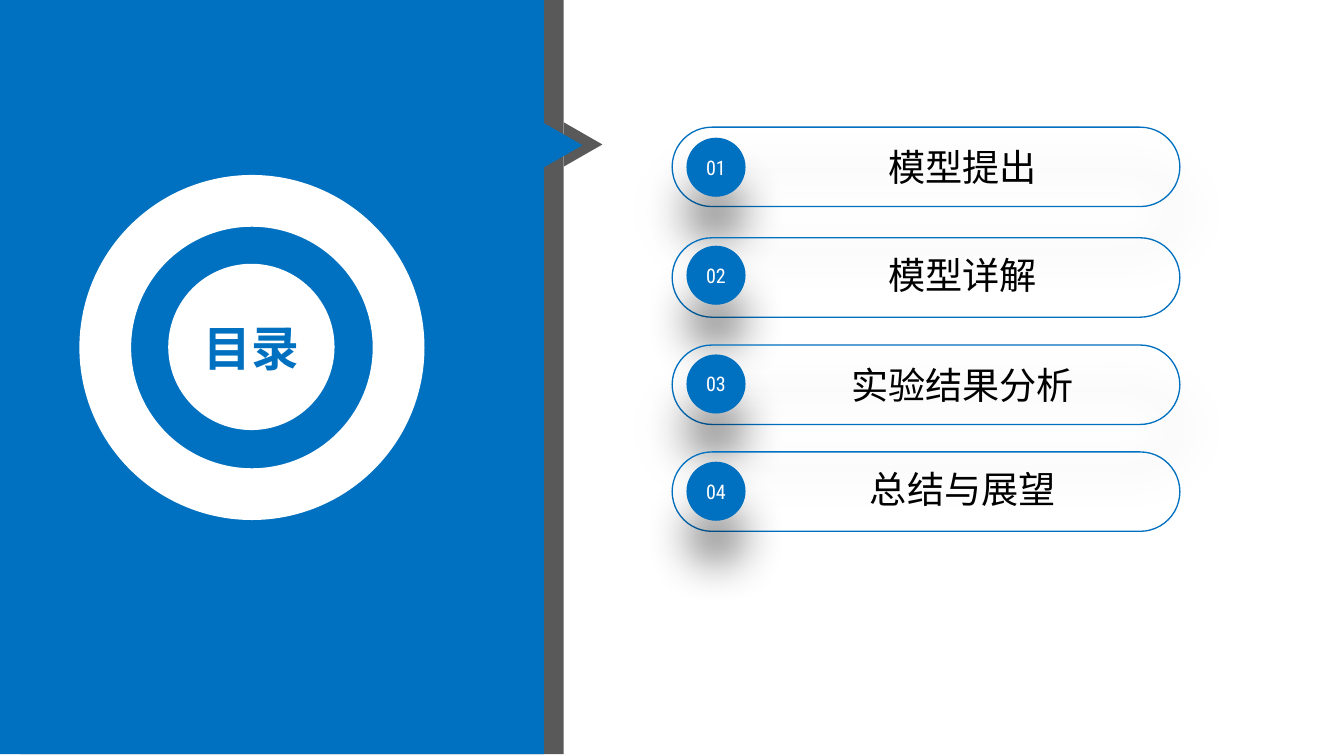
from dataclasses import dataclass

import pptx
import pptx.dml.color
import pptx.enum.shapes
import pptx.enum.text
import pptx.oxml
import pptx.oxml.ns
import pptx.shapes.autoshape
import pptx.slide
import pptx.util

Cm = pptx.util.Cm
Pt = pptx.util.Pt
RGBColor = pptx.dml.color.RGBColor
Preset = pptx.enum.shapes.MSO_SHAPE

BLUE = RGBColor(0x00, 0x70, 0xC0)
GREY = RGBColor(0x59, 0x59, 0x59)
WHITE = RGBColor(0xFF, 0xFF, 0xFF)
BLACK = RGBColor(0x00, 0x00, 0x00)
FONT = "Roboto Condensed"

PILL_LEFT, PILL_WIDTH, PILL_HEIGHT = 17.86, 13.49, 2.11
BADGE_LEFT, BADGE_SIZE = 18.24, 1.57
LABEL_CENTER, LABEL_HEIGHT = 25.58, 1.19


@dataclass(frozen=True)
class Box:
    """Position and size in centimetres."""
    left: float
    top: float
    width: float
    height: float


@dataclass(frozen=True)
class Chapter:
    """One contents row; vertical positions in centimetres."""
    title: str
    pill_top: float
    badge_top: float
    label_top: float
    label_width: float
    pill_shadow: bool


@dataclass(frozen=True)
class Panel:
    """A full-height band with an arrow tip on its right edge."""
    band: Box
    tip: Box
    color: RGBColor


CHAPTERS = [
    Chapter("模型提出", 3.38, 3.66, 3.84, 8.79, True),
    Chapter("模型详解", 6.32, 6.53, 6.71, 9.40, False),
    Chapter("实验结果分析", 9.17, 9.42, 9.63, 8.31, True),
    Chapter("总结与展望", 12.01, 12.27, 12.40, 6.86, False),
]
PANELS = [
    Panel(Box(0.53, -0.05, 14.45, 20.09), Box(14.91, 3.33, 1.17, 1.02), GREY),
    Panel(Box(0, -0.05, 14.45, 20.09), Box(14.38, 3.35, 1.17, 1.02), BLUE),
]


def add_shape(slide: pptx.slide.Slide, preset: Preset, box: Box,
              fill: RGBColor | None = None,
              line: RGBColor | None = None) -> pptx.shapes.autoshape.Shape:
    shape = slide.shapes.add_shape(
        preset, Cm(box.left), Cm(box.top), Cm(box.width), Cm(box.height))
    shape.shadow.inherit = False
    if fill is None:
        shape.fill.background()
    else:
        shape.fill.solid()
        shape.fill.fore_color.rgb = fill
    if line is None:
        shape.line.fill.background()
    else:
        shape.line.color.rgb = line
        shape.line.width = Pt(1)
    return shape


def add_drop_shadow(shape: pptx.shapes.autoshape.Shape) -> None:
    """Cast a soft black shadow straight down."""
    effects = shape.element.spPr.find(pptx.oxml.ns.qn("a:effectLst"))
    effects.append(pptx.oxml.parse_xml(
        f'<a:outerShdw {pptx.oxml.ns.nsdecls("a")} blurRad="{Pt(33)}" '
        f'dist="{Pt(33)}" dir="5400000" algn="t" rotWithShape="0">'
        '<a:srgbClr val="000000"><a:alpha val="43000"/></a:srgbClr>'
        '</a:outerShdw>'))


def write_text(shape: pptx.shapes.autoshape.Shape, text: str, size: float,
               color: RGBColor, bold: bool = False, inset: bool = True) -> None:
    """Put one centred line of text in the shape."""
    side, edge = (Cm(0.2), Cm(0.1)) if inset else (0, 0)
    frame = shape.text_frame
    frame_format = {
        "word_wrap": True,
        "vertical_anchor": pptx.enum.text.MSO_ANCHOR.MIDDLE,
        "margin_left": side, "margin_right": side,
        "margin_top": edge, "margin_bottom": edge,
    }
    for name, value in frame_format.items():
        setattr(frame, name, value)
    paragraph = frame.paragraphs[0]
    paragraph.alignment = pptx.enum.text.PP_ALIGN.CENTER
    run = paragraph.add_run()
    run.text = text
    for name, value in {"name": FONT, "size": Pt(size), "bold": bold}.items():
        setattr(run.font, name, value)
    run.font.color.rgb = color


def add_chapter(slide: pptx.slide.Slide, number: int, chapter: Chapter) -> None:
    pill = add_shape(slide, Preset.ROUNDED_RECTANGLE,
                     Box(PILL_LEFT, chapter.pill_top, PILL_WIDTH, PILL_HEIGHT),
                     line=BLUE)
    pill.adjustments[0] = 0.5
    if chapter.pill_shadow:
        add_drop_shadow(pill)

    badge = add_shape(slide, Preset.OVAL,
                      Box(BADGE_LEFT, chapter.badge_top, BADGE_SIZE, BADGE_SIZE),
                      fill=BLUE)
    add_drop_shadow(badge)
    write_text(badge, f"{number:02}", 15.1, WHITE)

    label_left = LABEL_CENTER - chapter.label_width / 2
    label = slide.shapes.add_textbox(
        Cm(label_left), Cm(chapter.label_top),
        Cm(chapter.label_width), Cm(LABEL_HEIGHT))
    write_text(label, chapter.title, 28, BLACK, inset=False)


def add_panel(slide: pptx.slide.Slide, panel: Panel) -> None:
    tip = add_shape(slide, Preset.ISOSCELES_TRIANGLE, panel.tip, fill=panel.color)
    tip.rotation = 90
    add_shape(slide, Preset.RECTANGLE, panel.band, fill=panel.color)


def add_heading(slide: pptx.slide.Slide) -> None:
    disc = add_shape(slide, Preset.OVAL, Box(4.47, 7.01, 4.42, 4.42), fill=WHITE)
    write_text(disc, "目录", 36, BLUE, bold=True)
    ring = add_shape(slide, Preset.DONUT, Box(2.11, 4.65, 9.17, 9.17), fill=WHITE)
    ring.adjustments[0] = 0.15


def main() -> None:
    presentation = pptx.Presentation()
    presentation.slide_width = Cm(35.71)
    presentation.slide_height = Cm(20.09)
    slide = presentation.slides.add_slide(presentation.slide_layouts[6])
    for number, chapter in enumerate(CHAPTERS, start=1):
        add_chapter(slide, number, chapter)
    for panel in PANELS:
        add_panel(slide, panel)
    add_heading(slide)
    presentation.save("out.pptx")


if __name__ == "__main__":
    main()
